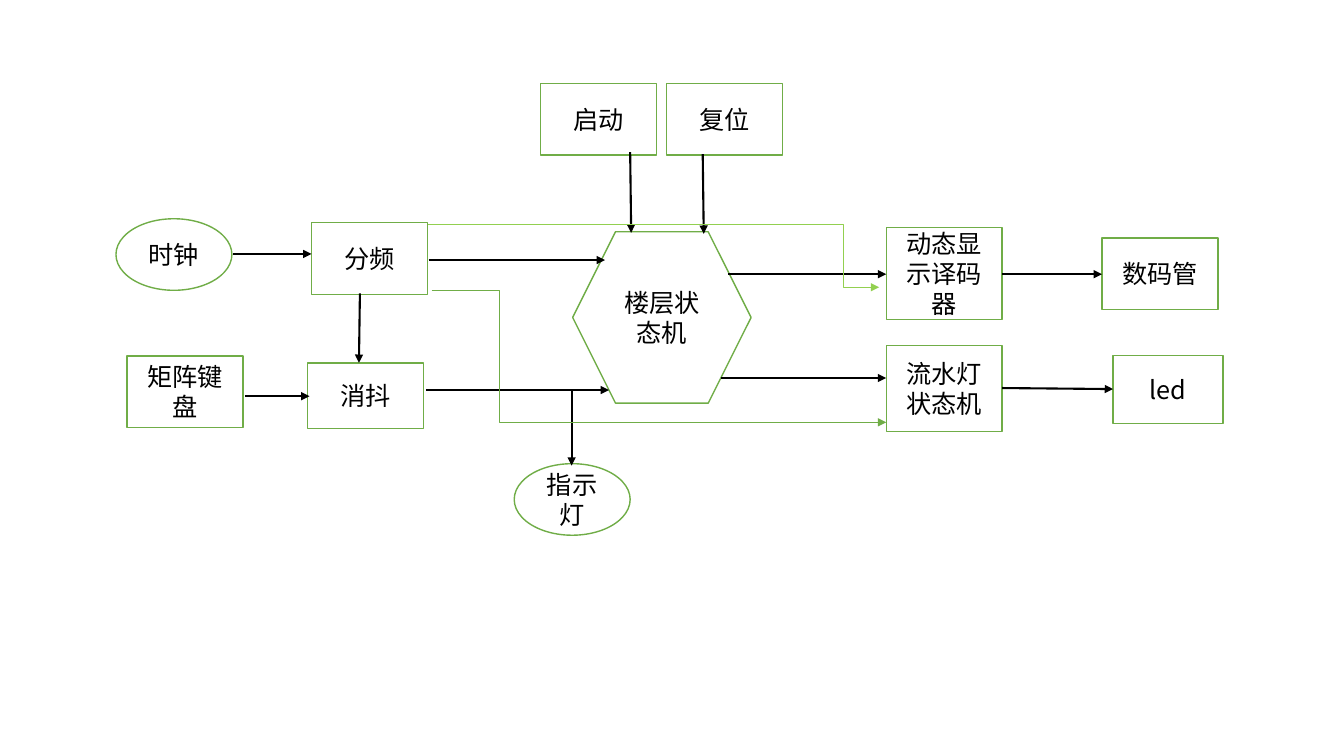
"""Builds the block diagram slide of a lift controller."""
from lxml import etree
from pptx import Presentation
from pptx.dml.color import RGBColor
from pptx.enum import shapes as kinds, text
from pptx.oxml import ns
from pptx.util import Inches, Pt

BLACK = RGBColor(0x00, 0x00, 0x00)
WHITE = RGBColor(0xFF, 0xFF, 0xFF)
GREEN = RGBColor(0x70, 0xAD, 0x47)
LIME = RGBColor(0x92, 0xD0, 0x50)
FONT = "Noto Sans CJK SC"
RECT = kinds.MSO_SHAPE.RECTANGLE
OVAL = kinds.MSO_SHAPE.OVAL
HEX = kinds.MSO_SHAPE.HEXAGON
WIDE, HIGH = 1.15, 0.71


def add_node(slide, box, label, x, y, wide=WIDE, high=HIGH, kind=RECT):
    """Add a labelled outline at an offset from the box corner."""
    node = slide.shapes.add_shape(
        kind, Inches(box[0] + x), Inches(box[1] + y), Inches(wide), Inches(high))
    node.shadow.inherit = False
    node.fill.solid()
    node.fill.fore_color.rgb = WHITE
    node.line.color.rgb = GREEN
    node.line.width = Pt(1)
    frame = node.text_frame
    frame.word_wrap = True
    frame.vertical_anchor = text.MSO_ANCHOR.MIDDLE
    frame.text = label
    para = frame.paragraphs[0]
    para.alignment = text.PP_ALIGN.CENTER
    font = para.runs[0].font
    font.size = Pt(18)
    font.name = FONT
    font.color.rgb = BLACK
    props = para.runs[0]._r.get_or_add_rPr()
    etree.SubElement(props, ns.qn("a:ea"), typeface=FONT)


def add_arrow(slide, box, start, end, color=BLACK, width=1.5, bend=None):
    """Add an arrow, straight or with its elbow at the fraction bend."""
    form = kinds.MSO_CONNECTOR.STRAIGHT if bend is None else kinds.MSO_CONNECTOR.ELBOW
    ends = [Inches(box[i] + point[i]) for point in (start, end) for i in (0, 1)]
    arrow = slide.shapes.add_connector(form, *ends)
    arrow.line.color.rgb = color
    arrow.line.width = Pt(width)
    props = arrow._element.spPr
    etree.SubElement(arrow.line._get_or_add_ln(), ns.qn("a:tailEnd"), type="triangle")
    etree.SubElement(props, ns.qn("a:effectLst"))
    if bend is not None:
        guides = props.find(ns.qn("a:prstGeom")).find(ns.qn("a:avLst"))
        etree.SubElement(guides, ns.qn("a:gd"), name="adj1",
                         fmla=f"val {round(bend * 100000)}")


def draw_inputs(slide, box):
    """Draw the clock and keypad with their conditioning blocks."""
    add_node(slide, box, "时钟", 0, 0, kind=OVAL)
    add_node(slide, box, "分频", 1.94, 0.04)
    add_node(slide, box, "矩阵键盘", 0.11, 1.36)
    add_node(slide, box, "消抖", 1.9, 1.43, high=0.65)
    add_arrow(slide, box, (1.16, 0.35), (1.94, 0.35))
    add_arrow(slide, box, (1.28, 1.76), (1.92, 1.76))
    add_arrow(slide, box, (2.42, 0.74), (2.41, 1.43))


def draw_core(slide, box):
    """Draw the floor state machine, its two buttons and its lamp."""
    add_node(slide, box, "启动", 0.26, 0)
    add_node(slide, box, "复位", 1.51, 0)
    add_node(slide, box, "指示灯", 0, 3.77, kind=OVAL)
    add_node(slide, box, "楼层状态机", 0.58, 1.47, 1.77, 1.7, HEX)
    add_arrow(slide, box, (1.15, 0.68), (1.16, 1.48))
    add_arrow(slide, box, (1.87, 0.7), (1.88, 1.49))
    add_arrow(slide, box, (0.57, 3.04), (0.57, 3.79))


def draw_outputs(slide, box):
    """Draw the display and light blocks with their devices."""
    add_node(slide, box, "数码管", 2.14, 0.1)
    add_node(slide, box, "动态显示译码器", 0, 0, high=0.91)
    add_node(slide, box, "流水灯状态机", 0, 1.17, high=0.85)
    add_node(slide, box, "led", 2.25, 1.27, 1.09, 0.67)
    add_arrow(slide, box, (1.15, 0.46), (2.14, 0.46))
    add_arrow(slide, box, (1.15, 1.59), (2.25, 1.6))


def draw_links(slide, box):
    """Draw the signals that run between the regions."""
    add_arrow(slide, box, (0, 1.64), (1.81, 1.64))
    add_arrow(slide, box, (0.02, 0.35), (1.77, 0.35))
    add_arrow(slide, box, (2.99, 0.49), (4.56, 0.49))
    add_arrow(slide, box, (2.92, 1.52), (4.56, 1.52))
    add_arrow(slide, box, (0.02, 0), (4.49, 0.62), LIME, 0.75, 0.92)
    add_arrow(slide, box, (0.05, 0.65), (4.56, 1.96), GREEN, 0.75, 0.15)


def main():
    """Build and save the slide."""
    deck = Presentation()
    deck.slide_width, deck.slide_height = Inches(13.33), Inches(7.5)
    slide = deck.slides.add_slide(deck.slide_layouts[6])
    draw_inputs(slide, (1.15, 2.17))
    draw_core(slide, (5.1, 0.83))
    draw_outputs(slide, (8.79, 2.26))
    draw_links(slide, (4.23, 2.23))
    deck.save("out.pptx")


if __name__ == "__main__":
    main()
